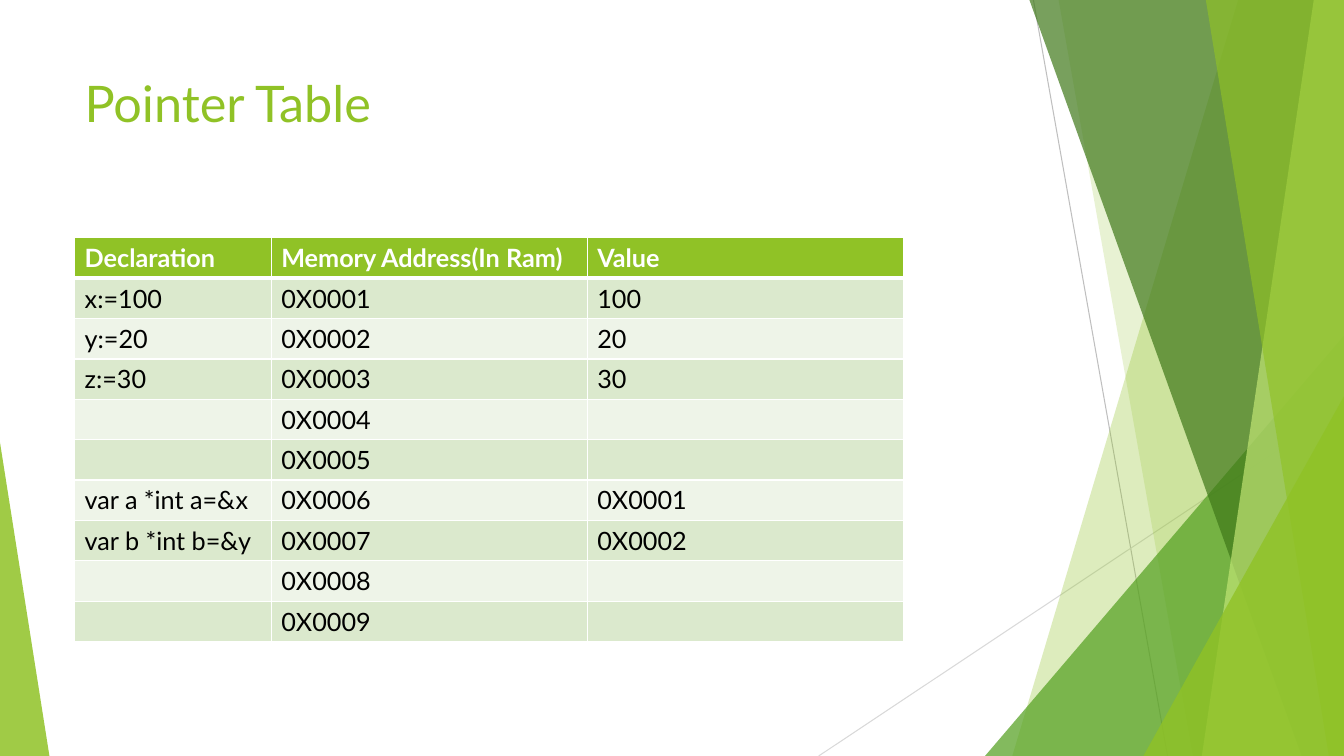
from lxml import etree
from pptx import Presentation
from pptx.dml.color import RGBColor
from pptx.enum.shapes import MSO_CONNECTOR, MSO_SHAPE
from pptx.oxml.ns import qn
from pptx.util import Inches, Pt

STRAIGHT = MSO_CONNECTOR.STRAIGHT
TRIANGLE = MSO_SHAPE.ISOSCELES_TRIANGLE
FONT = "Lato"
COLORS = {
    "lime": "90C226", "green": "54A021", "forest": "3F7819", "pale": "C0E474",
    "dark_line": "BFBFBF", "light_line": "D9D9D9", "white": "FFFFFF",
    "black": "000000", "band": "DBE9CD", "light_band": "EEF4E8",
}
COLUMN_WIDTHS = (1.95, 3.135, 3.135)
HEADER = ("Declaration", "Memory Address(In Ram)", "Value")
DECLARATIONS = {
    1: ("x:=100", "100"), 2: ("y:=20", "20"), 3: ("z:=30", "30"),
    6: ("var a *int a=&x", "0X0001"), 7: ("var b *int b=&y", "0X0002"),
}
ADDRESS_COUNT = 9


def rgb(name):
    """Return the named palette colour."""
    return RGBColor.from_string(COLORS[name])


def write_text(text_frame, text, size=18, color="black", bold=False):
    """Write one formatted run into a text frame."""
    run = text_frame.paragraphs[0].add_run()
    run.text = text
    run.font.name = FONT
    run.font.size = Pt(size)
    run.font.bold = bold
    run.font.color.rgb = rgb(color)


def paint(shape, color, opacity):
    """Give a shape a translucent fill without line or shadow."""
    shape.shadow.inherit = False
    shape.line.fill.background()
    shape.fill.solid()
    shape.fill.fore_color.rgb = rgb(color)
    color_element = shape._element.spPr.find(qn("a:solidFill"))[0]
    etree.SubElement(color_element, qn("a:alpha"), val=str(opacity * 1000))


def add_line(slide, start, end, color):
    """Draw a thin straight line between two points."""
    points = [Inches(value) for value in (*start, *end)]
    line = slide.shapes.add_connector(STRAIGHT, *points)
    line.line.color.rgb = rgb(color)
    line.line.width = Pt(0.75)
    etree.SubElement(line._element.spPr, qn("a:effectLst"))


def add_band(slide, box, top_inset, bottom_inset, color, opacity):
    """Fill from a slanted left edge to the right edge of the box."""
    left, top, width, height = box
    right, bottom = left + width, top + height
    corners = [(right - top_inset, top), (right, top),
               (right, bottom), (right - bottom_inset, bottom)]
    points = [(Inches(x), Inches(y)) for x, y in corners]
    builder = slide.shapes.build_freeform(*points[0])
    builder.add_line_segments(points[1:], close=True)
    paint(builder.convert_to_shape(), color, opacity)


def add_triangle(slide, box, apex, color, opacity):
    """Fill a box with a triangle whose apex sits at a share of its width."""
    shape = slide.shapes.add_shape(TRIANGLE, *map(Inches, box))
    shape.adjustments[0] = apex
    paint(shape, color, opacity)


def add_corner(slide, box, width, height, color, opacity):
    """Place a right triangle in the bottom right corner of the box."""
    corner = (box[0] + box[2] - width, box[1] + box[3] - height, width, height)
    add_triangle(slide, corner, 1, color, opacity)


def add_facets(slide, box):
    """Layer the lines and translucent facets on the right."""
    left, top, width, height = box
    right, bottom = left + width, top + height
    add_line(slide, (right - 3.08, top), (right - 1.75, bottom), "dark_line")
    add_line(slide, (right, top + 4.03), (left, bottom), "light_line")
    add_band(slide, box, 1.05, 3.29, "lime", 30)
    add_band(slide, box, 2.83, 1.5, "lime", 20)
    add_corner(slide, box, 3.56, 4.17, "green", 72)
    add_band(slide, box, 3.12, 0.42, "forest", 70)
    add_band(slide, box, 0.3, 1.41, "pale", 70)
    add_band(slide, box, 1.37, 0.15, "lime", 65)
    add_corner(slide, box, 1.99, 3.57, "lime", 80)


def add_title(slide, box, text):
    """Place the slide title."""
    text_frame = slide.shapes.add_textbox(*map(Inches, box)).text_frame
    text_frame.word_wrap = True
    write_text(text_frame, text, size=36, color="lime")


def set_borders(cell, **widths):
    """Draw white cell borders with the given widths in points."""
    properties = cell._tc.get_or_add_tcPr()
    for side, width in widths.items():
        border = etree.SubElement(properties, qn(f"a:ln{side}"), w=str(Pt(width)))
        fill = etree.SubElement(border, qn("a:solidFill"))
        etree.SubElement(fill, qn("a:srgbClr"), val=COLORS["white"])


def add_pointer_table(slide, box):
    """Tabulate each memory address with its declaration and value."""
    rows = [HEADER]
    for address in range(1, ADDRESS_COUNT + 1):
        declaration, value = DECLARATIONS.get(address, ("", ""))
        rows.append((declaration, f"0X{address:04d}", value))
    table = slide.shapes.add_table(
        len(rows), len(HEADER), *map(Inches, box)).table
    for column, width in zip(table.columns, COLUMN_WIDTHS):
        column.width = Inches(width)
    for row_index, row in enumerate(rows):
        table.rows[row_index].height = Inches(box[3] / len(rows))
        is_header = row_index == 0
        band = "band" if row_index % 2 else "light_band"
        for column_index, text in enumerate(row):
            cell = table.cell(row_index, column_index)
            set_borders(cell, L=1, R=1, T=3 if row_index == 1 else 1,
                        B=3 if is_header else 1)
            cell.fill.solid()
            cell.fill.fore_color.rgb = rgb("lime" if is_header else band)
            if text:
                write_text(cell.text_frame, text, bold=is_header,
                           color="white" if is_header else "black")


def main():
    """Build and save the slide."""
    presentation = Presentation()
    presentation.slide_width = Inches(13.33)
    presentation.slide_height = Inches(7.5)
    slide = presentation.slides.add_slide(presentation.slide_layouts[6])
    add_facets(slide, (8.12, 0, 5.21, 7.5))
    add_triangle(slide, (0, 4.39, 0.49, 3.11), 0, "lime", 85)
    add_title(slide, (0.74, 0.67, 9.4, 1.44), "Pointer Table")
    add_pointer_table(slide, (0.74, 2.36, 8.22, 4))
    presentation.save("out.pptx")


main()
